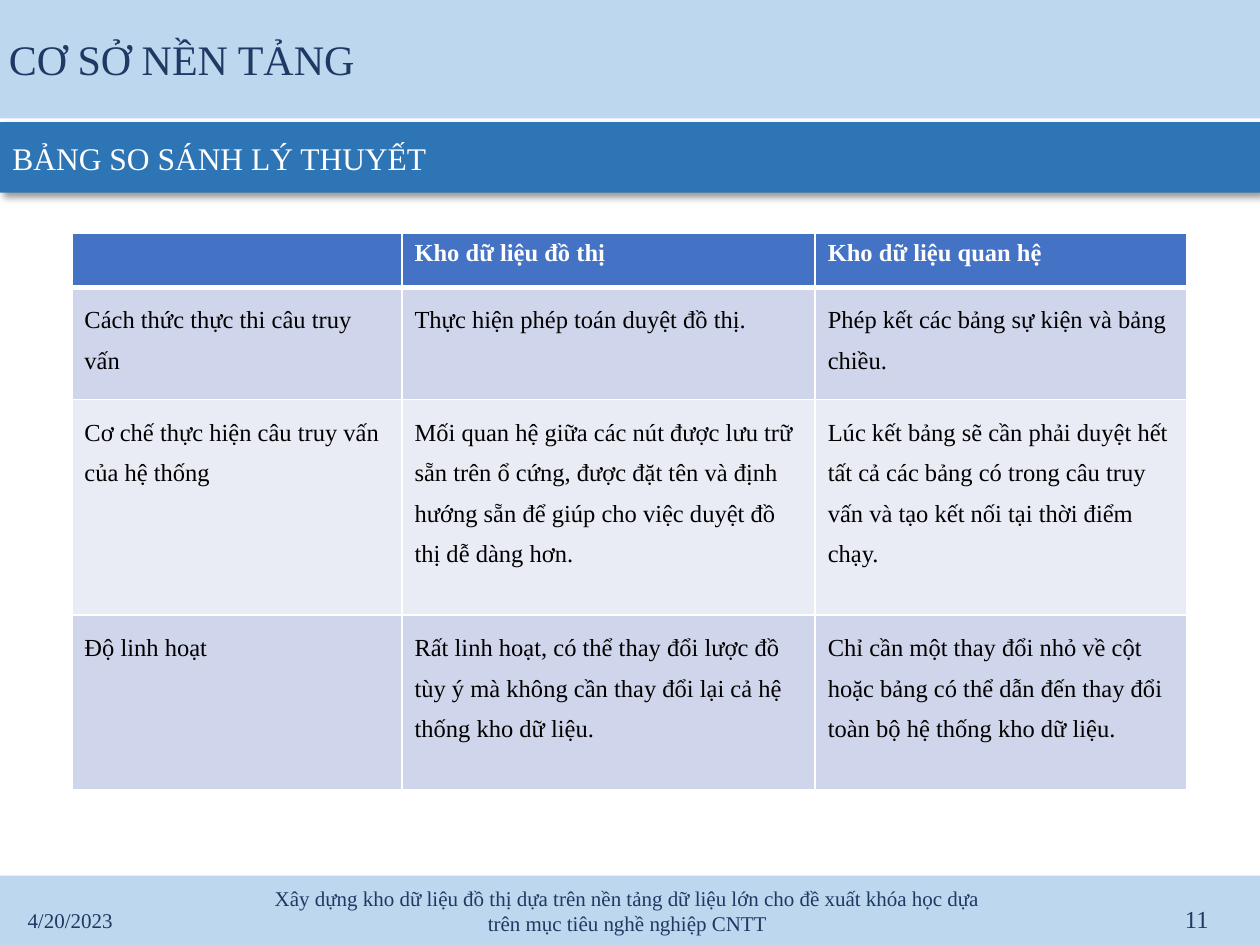
from lxml.etree import SubElement as Sub
from pptx import Presentation
from pptx.dml.color import RGBColor as RGB
from pptx.enum.shapes import MSO_SHAPE as Shape
from pptx.enum.text import MSO_ANCHOR as Anchor, PP_ALIGN as Align
from pptx.oxml.ns import qn
from pptx.util import Inches, Pt

PALE = RGB(0xBD, 0xD7, 0xEE)
BLUE = RGB(0x2E, 0x75, 0xB6)
NAVY = RGB(0x20, 0x38, 0x64)
HEAD = RGB(0x44, 0x72, 0xC4)
ODD = RGB(0xCF, 0xD5, 0xEA)
EVEN = RGB(0xE9, 0xEB, 0xF5)
WHITE = RGB(0xFF, 0xFF, 0xFF)
BLACK = RGB(0, 0, 0)
FONT = "Times New Roman"

deck = Presentation()
deck.slide_width, deck.slide_height = Inches(10), Inches(7.5)
slide = deck.slides.add_slide(deck.slide_layouts[6])
shapes = slide.shapes


def write(frame, text, size, color, align=Align.LEFT):
    frame.word_wrap = True
    frame.vertical_anchor = Anchor.MIDDLE
    para = frame.paragraphs[0]
    para.text = text
    para.alignment = align
    style(para.font, size, color)


def style(font, size, color, bold=False):
    font.name, font.size, font.bold = FONT, Pt(size), bold
    font.color.rgb = color


# Full-width bands: title, subtitle, footer
bands = []
for top, high, fill in [(0, 0.94, PALE), (0.97, 0.56, BLUE), (6.95, 0.56, PALE)]:
    band = shapes.add_shape(Shape.RECTANGLE, 0, Inches(top),
                            deck.slide_width, Inches(high))
    band.fill.solid()
    band.fill.fore_color.rgb = fill
    band.line.fill.background()
    band.shadow.inherit = False
    bands.append(band)
title, sub, foot = bands

frame = title.text_frame
frame.margin_left = frame.margin_right = Inches(0.07)
frame.margin_top = frame.margin_bottom = Inches(0.04)
write(frame, "CƠ SỞ NỀN TẢNG", 24, NAVY)
write(sub.text_frame, "BẢNG SO SÁNH LÝ THUYẾT", 18, WHITE)

# Shadow under the subtitle band
glow = Sub(sub._element.spPr.find(qn("a:effectLst")), qn("a:outerShdw"),
           blurRad=str(Pt(4)), dist=str(Pt(3)), dir=str(45 * 60000),
           algn="tl", rotWithShape="0")
tint = Sub(glow, qn("a:srgbClr"), val=str(BLACK))
Sub(tint, qn("a:alpha"), val="40000")

# Comparison table
rows = [
    ["", "Kho dữ liệu đồ thị", "Kho dữ liệu quan hệ"],
    ["Cách thức thực thi câu truy vấn",
     "Thực hiện phép toán duyệt đồ thị.",
     "Phép kết các bảng sự kiện và bảng chiều."],
    ["Cơ chế thực hiện câu truy vấn của hệ thống",
     "Mối quan hệ giữa các nút được lưu trữ sẵn trên ổ cứng, được đặt tên "
     "và định hướng sẵn để giúp cho việc duyệt đồ thị dễ dàng hơn.",
     "Lúc kết bảng sẽ cần phải duyệt hết tất cả các bảng có trong câu truy "
     "vấn và tạo kết nối tại thời điểm chạy."],
    ["Độ linh hoạt",
     "Rất linh hoạt, có thể thay đổi lược đồ tùy ý mà không cần thay đổi "
     "lại cả hệ thống kho dữ liệu.",
     "Chỉ cần một thay đổi nhỏ về cột hoặc bảng có thể dẫn đến thay đổi "
     "toàn bộ hệ thống kho dữ liệu."],
]
wide = [2.62, 3.28, 2.95]
tall = [0.43, 0.89, 1.71, 1.39]
table = shapes.add_table(len(rows), len(wide), Inches(0.57), Inches(1.85),
                         Inches(sum(wide)), Inches(sum(tall))).table
for col, width in zip(table.columns, wide):
    col.width = Inches(width)
for r, (row, height) in enumerate(zip(rows, tall)):
    table.rows[r].height = Inches(height)
    for c, text in enumerate(row):
        cell = table.cell(r, c)
        # White borders, thick between the header and the body
        for side in ("lnL", "lnR", "lnT", "lnB"):
            thick = (r, side) in [(0, "lnB"), (1, "lnT")]
            edge = Sub(cell._tc.get_or_add_tcPr(), qn("a:" + side),
                       w=str(Pt(3 if thick else 1)))
            Sub(Sub(edge, qn("a:solidFill")), qn("a:srgbClr"), val=str(WHITE))
        cell.fill.solid()
        cell.fill.fore_color.rgb = HEAD if r == 0 else ODD if r % 2 else EVEN
        para = cell.text_frame.paragraphs[0]
        para.text = text
        style(para.font, 14, BLACK if r else WHITE, bold=r == 0)
        if r:
            para.line_spacing = 1.5

# Footer: date, topic, page number
topic = ("Xây dựng kho dữ liệu đồ thị dựa trên nền tảng dữ liệu lớn cho đề xuất "
         "khóa học dựa trên mục tiêu nghề nghiệp CNTT")
for left, top, width, text, size, align in [
    (0.12, 7.1, 2.25, "4/20/2023", 12, Align.LEFT),
    (2.08, 7.03, 5.8, topic, 12, Align.CENTER),
    (7.44, 7.09, 2.25, "11", 14, Align.RIGHT),
]:
    box = shapes.add_textbox(Inches(left), Inches(top), Inches(width), Inches(0.4))
    write(box.text_frame, text, size, NAVY, align)

deck.save("out.pptx")
